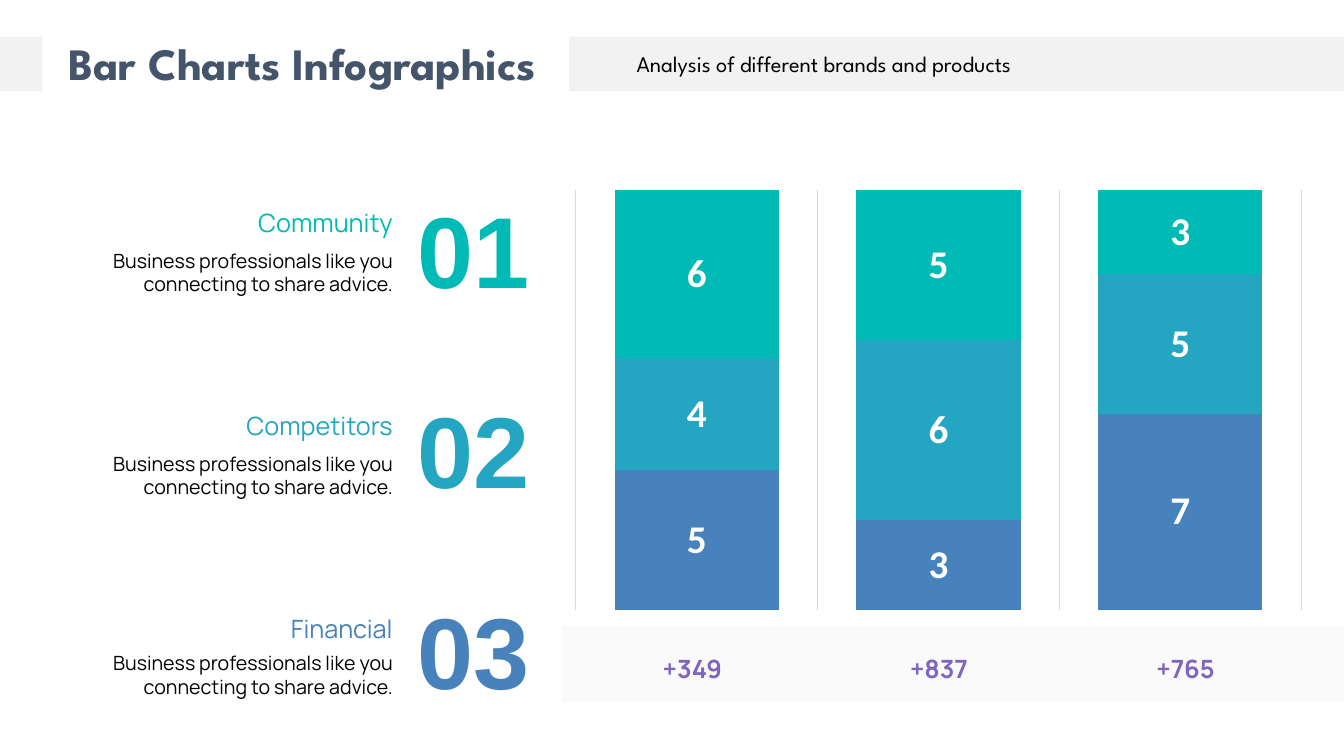
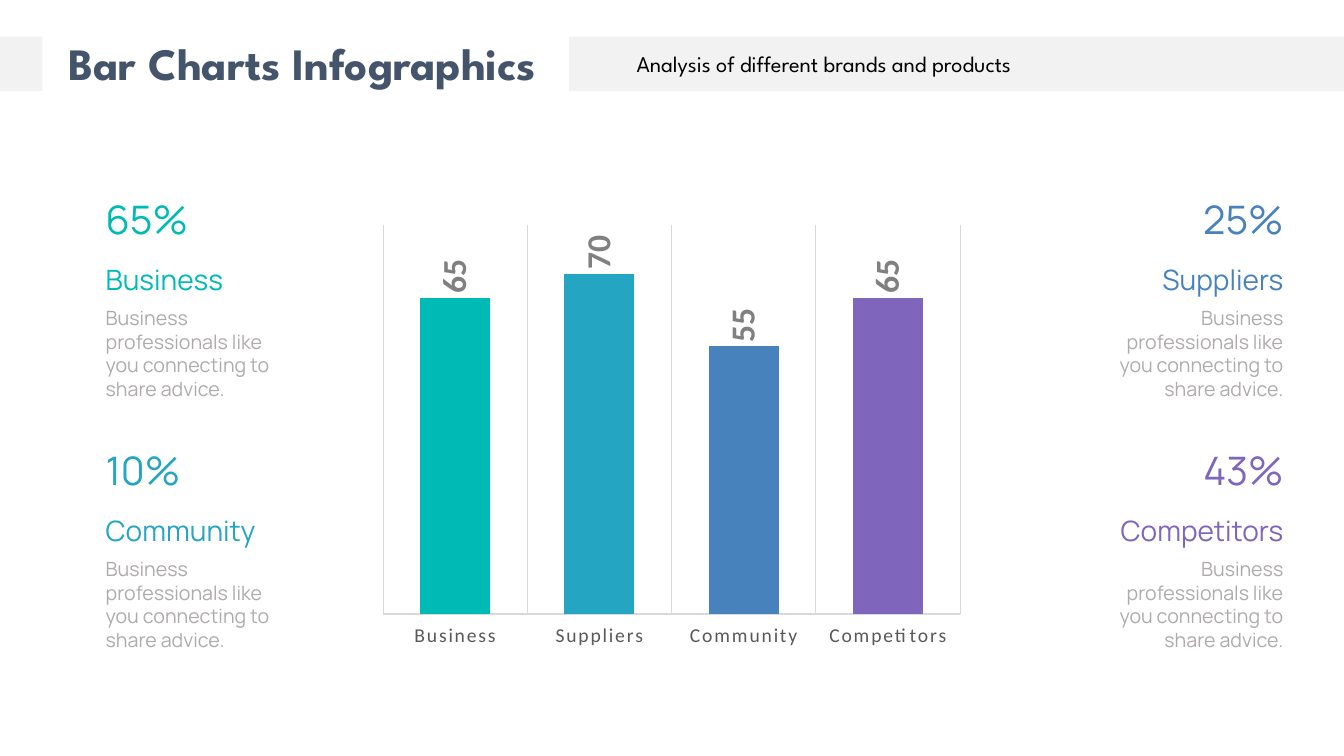
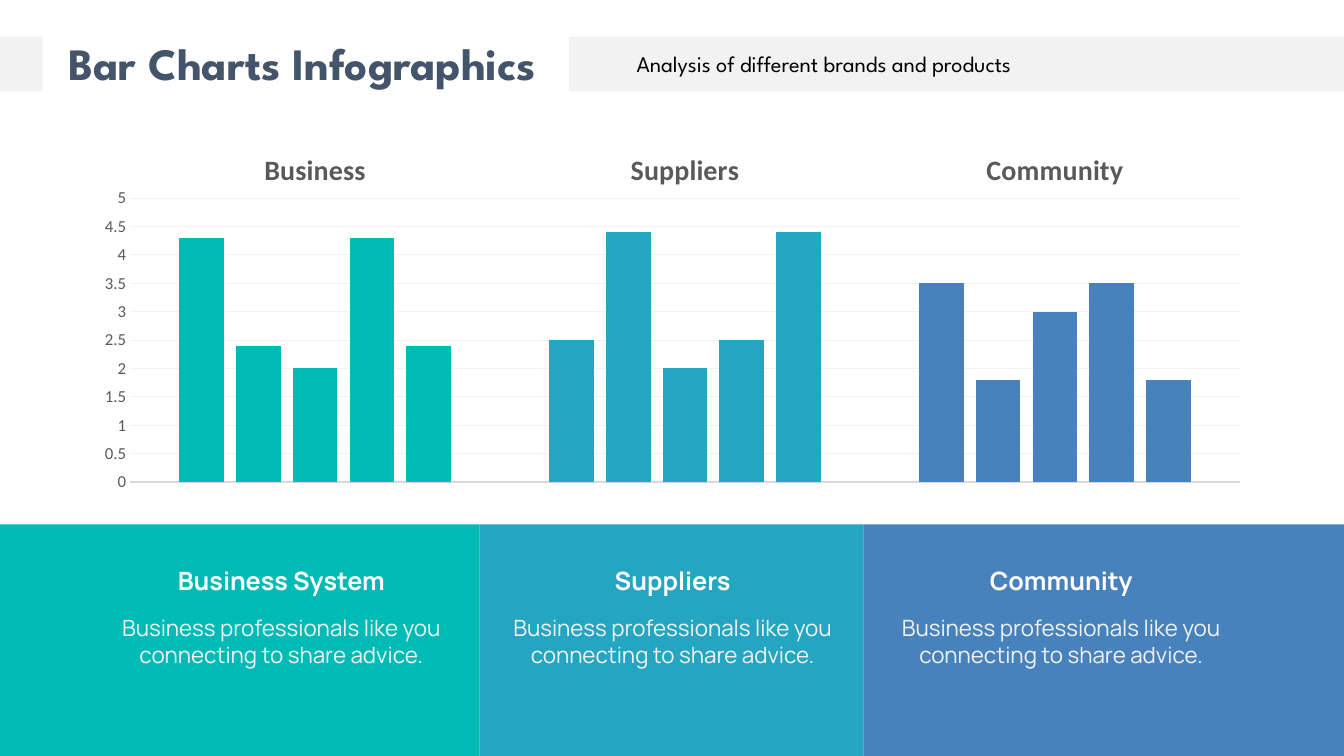
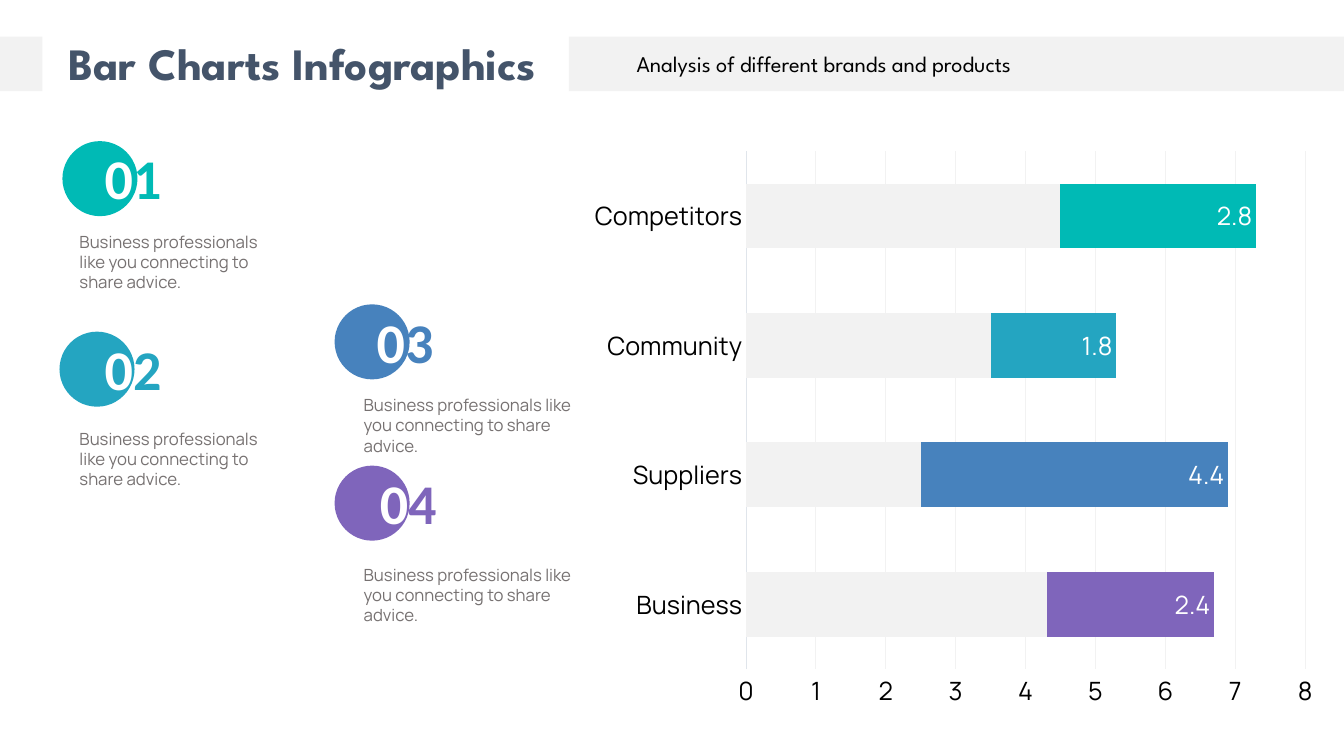
from lxml.etree import SubElement
from pptx import Presentation
from pptx.chart.data import CategoryChartData
from pptx.dml.color import RGBColor
from pptx.enum.chart import XL_CHART_TYPE, XL_LABEL_POSITION, XL_TICK_LABEL_POSITION, XL_TICK_MARK
from pptx.enum.shapes import MSO_SHAPE
from pptx.enum.text import MSO_AUTO_SIZE, PP_ALIGN
from pptx.oxml import parse_xml
from pptx.oxml.ns import nsdecls, qn
from pptx.util import Pt

COLORS = {
    "teal": "00BAB5", "cyan": "24A5C1", "blue": "4782BD", "purple": "7F65BB",
    "title": "44546A", "band": "F2F2F2", "totals": "D0CECE", "grid": "D9D9D9",
    "axis": "E0E5EB", "label": "595959", "value": "808080", "muted": "AFABAB",
    "note": "767171", "black": "000000", "white": "FFFFFF",
}
STYLES = {
    "title": {"name": "League Spartan", "size": Pt(32), "bold": True},
    "subtitle": {"name": "League Spartan", "size": Pt(16)},
    "total": {"name": "Manrope", "size": Pt(18), "bold": True},
    "heading": {"name": "Manrope", "size": Pt(18)},
    "large heading": {"name": "Manrope", "size": Pt(20)},
    "percent": {"name": "Manrope", "size": Pt(28)},
    "body": {"name": "Manrope", "size": Pt(14)},
    "panel body": {"name": "Manrope", "size": Pt(16)},
    "small body": {"name": "Manrope", "size": Pt(12)},
    "huge number": {"name": "Arial", "size": Pt(72), "bold": True},
    "badge number": {"name": "Calibri", "size": Pt(40), "bold": True},
    "chart": {"name": "Calibri", "size": Pt(10)},
    "chart large": {"name": "Calibri", "size": Pt(28), "bold": True},
    "chart value": {"name": "Calibri", "size": Pt(24), "bold": True},
    "chart category": {"name": "Calibri", "size": Pt(14)},
    "chart group": {"name": "Calibri", "size": Pt(20), "bold": True},
    "chart scale": {"name": "Calibri", "size": Pt(12)},
}
ALIGNMENTS = {"left": PP_ALIGN.LEFT, "center": PP_ALIGN.CENTER, "right": PP_ALIGN.RIGHT}

TITLE = "Bar Charts Infographics"
SUBTITLE = "Analysis of different brands and products"
ADVICE = "Business professionals like you connecting to share advice."

NUMBERED_TOPICS = [
    ("01", "Community", "teal", 174.2),
    ("02", "Competitors", "cyan", 319),
    ("03", "Financial", "blue", 461.5),
]
TOTALS = ["+349", "+837", "+765"]
PERCENT_TOPICS = [
    ("left", 0, "65%", "Business", "teal"),
    ("left", 1, "10%", "Community", "cyan"),
    ("right", 0, "25%", "Suppliers", "blue"),
    ("right", 1, "43%", "Competitors", "purple"),
]
PANELS = [
    ("Business System", "teal", 0, 342.7, 201),
    ("Suppliers", "cyan", 342.7, 274, 480.5),
    ("Community", "blue", 616.7, 343.3, 758),
]
BADGES = [
    ("1", "teal", (44.6, 100.8), 67.7, (49.7, 162), 151),
    ("2", "cyan", (42.5, 236.9), 67.7, (49.7, 302.4), 151),
    ("3", "blue", (239, 217.4), 262, (252.7, 278.6), 166.3),
    ("4", "purple", (239, 332.6), 264.2, (252.7, 399.6), 166.3),
]

GROUP_COLORS = ["teal", "cyan", "blue"]
STACKED_COLUMNS = {
    "type": XL_CHART_TYPE.COLUMN_STACKED_100,
    "box": (401, 129.6, 539.3, 312.5), "plot": (411.4, 135.7, 518, 300),
    "categories": ["1", "2", "3"], "gap": 47, "overlap": 100,
    "series": [([5, 3, 7], "blue"), ([4, 6, 5], "cyan"), ([6, 5, 3], "teal")],
    "labels": {"series": [0, 1, 2], "style": "chart large", "color": "white"},
    "category axis": {"grid": "grid"}, "value axis": {},
}
SINGLE_COLUMNS = {
    "type": XL_CHART_TYPE.COLUMN_CLUSTERED,
    "box": (265, 154.8, 429.8, 315.4), "plot": (273.6, 160.7, 412.2, 278),
    "categories": ["Business", "Suppliers", "Community", "Competitors"],
    "gap": 106, "overlap": 87,
    "series": [([65, 70, 55, 65], ["teal", "cyan", "blue", "purple"])],
    "labels": {"series": [0], "style": "chart value", "color": "value",
               "position": XL_LABEL_POSITION.OUTSIDE_END, "rotation": -90},
    "category axis": {"style": "chart category", "color": "label", "line": "grid",
                      "grid": "grid", "position": XL_TICK_LABEL_POSITION.LOW, "spacing": 1.2},
    "value axis": {"maximum": 80},
}
GROUPED_COLUMNS = {
    "type": XL_CHART_TYPE.COLUMN_CLUSTERED,
    "box": (56.9, 105.1, 846, 251.3), "plot": (92.9, 141.6, 792.8, 202.8),
    "categories": ["Business", "Suppliers", "Community"], "gap": 219, "overlap": -27,
    "series": [(values, GROUP_COLORS) for values in (
        [4.3, 2.5, 3.5], [2.4, 4.4, 1.8], [2, 2, 3], [4.3, 2.5, 3.5], [2.4, 4.4, 1.8])],
    "category axis": {"style": "chart group", "color": "label", "line": "grid",
                      "position": XL_TICK_LABEL_POSITION.HIGH},
    "value axis": {"style": "chart scale", "color": "label", "grid": "band",
                   "maximum": 5, "step": 0.5},
}
STACKED_BARS = {
    "type": XL_CHART_TYPE.BAR_STACKED,
    "box": (414.7, 99.4, 533.5, 414), "plot": (532.9, 108, 399.3, 370),
    "categories": ["Business", "Suppliers", "Community", "Competitors"],
    "gap": 100, "overlap": 100,
    "series": [([4.3, 2.5, 3.5, 4.5], "band"),
               ([2.4, 4.4, 1.8, 2.8], ["purple", "blue", "cyan", "teal"])],
    "labels": {"series": [1], "style": "heading", "color": "white",
               "position": XL_LABEL_POSITION.INSIDE_END},
    "category axis": {"style": "heading", "color": "black", "line": "axis"},
    "value axis": {"style": "heading", "color": "black", "grid": "band",
                   "maximum": 8, "step": 1},
}


def color_of(name):
    return RGBColor.from_string(COLORS[name])


def format_font(font, style, color):
    for attribute, value in STYLES[style].items():
        setattr(font, attribute, value)
    font.color.rgb = color_of(color)


def paint(fill, color):
    fill.solid()
    fill.fore_color.rgb = color_of(color)


def add_box(slide, bounds, color, kind=MSO_SHAPE.RECTANGLE, opacity=None):
    shape = slide.shapes.add_shape(kind, *map(Pt, bounds))
    shape.shadow.inherit = False
    shape.line.fill.background()
    paint(shape.fill, color)
    if opacity is not None:
        color_element = shape.fill._xPr.find(qn("a:solidFill"))[0]
        SubElement(color_element, qn("a:alpha")).set("val", str(opacity * 1000))


def add_text(slide, bounds, runs, style, align="left"):
    shape = slide.shapes.add_textbox(*map(Pt, bounds))
    frame = shape.text_frame
    frame.word_wrap = True
    frame.auto_size = MSO_AUTO_SIZE.SHAPE_TO_FIT_TEXT
    paragraph = frame.paragraphs[0]
    paragraph.alignment = ALIGNMENTS[align]
    for text, color in runs:
        run = paragraph.add_run()
        run.text = text
        format_font(run.font, style, color)


def set_plot_area(chart, box, plot):
    left, top, width, height = box
    fractions = {
        "x": (plot[0] - left) / width, "y": (plot[1] - top) / height,
        "w": plot[2] / width, "h": plot[3] / height,
    }
    plot_area = chart._chartSpace.chart.plotArea
    for layout in plot_area.findall(qn("c:layout")):
        plot_area.remove(layout)
    modes = '<c:layoutTarget val="inner"/><c:xMode val="edge"/><c:yMode val="edge"/>'
    sizes = "".join(f'<c:{key} val="{value:.4f}"/>' for key, value in fractions.items())
    plot_area.insert(0, parse_xml(
        f'<c:layout {nsdecls("c")}><c:manualLayout>{modes}{sizes}</c:manualLayout></c:layout>'))


def format_axis(axis, settings):
    axis.major_tick_mark = axis.minor_tick_mark = XL_TICK_MARK.NONE
    axis.has_major_gridlines = "grid" in settings
    if "grid" in settings:
        line = axis.major_gridlines.format.line
        line.width = Pt(0.75)
        paint(line.fill, settings["grid"])
    if "maximum" in settings:
        axis.minimum_scale, axis.maximum_scale = 0, settings["maximum"]
    if "step" in settings:
        axis.major_unit = settings["step"]
    if "style" not in settings:
        axis.visible = False
        return
    labels = axis.tick_labels
    format_font(labels.font, settings["style"], settings["color"])
    if "spacing" in settings:
        labels.font._element.set("spc", str(round(settings["spacing"] * 100)))
    if "position" in settings:
        axis.tick_label_position = settings["position"]
    if "line" in settings:
        axis.format.line.width = Pt(0.75)
        paint(axis.format.line.fill, settings["line"])
    else:
        axis.format.line.fill.background()


def format_labels(series, settings):
    labels = series.data_labels
    labels.show_value = True
    format_font(labels.font, settings["style"], settings["color"])
    if "position" in settings:
        labels.position = settings["position"]
    if "rotation" in settings:
        body = labels._element.find(qn("c:txPr")).find(qn("a:bodyPr"))
        body.set("rot", str(settings["rotation"] * 60000))
        body.set("vert", "horz")


def add_bar_chart(slide, settings):
    data = CategoryChartData()
    data.categories = settings["categories"]
    for number, (values, _) in enumerate(settings["series"], 1):
        data.add_series(f"Series {number}", values)
    chart = slide.shapes.add_chart(settings["type"], *map(Pt, settings["box"]), data).chart
    chart.has_legend = chart.has_title = False
    format_font(chart.font, "chart", "black")
    set_plot_area(chart, settings["box"], settings["plot"])
    format_axis(chart.category_axis, settings["category axis"])
    format_axis(chart.value_axis, settings["value axis"])
    plot = chart.plots[0]
    plot.gap_width, plot.overlap = settings["gap"], settings["overlap"]
    plot.vary_by_categories = False
    for series, (_, colors) in zip(plot.series, settings["series"]):
        series.invert_if_negative = False
        if isinstance(colors, str):
            paint(series.format.fill, colors)
            continue
        paint(series.format.fill, colors[0])
        for index, color in enumerate(colors):
            paint(series.points[index].format.fill, color)
    for index in settings.get("labels", {}).get("series", []):
        format_labels(plot.series[index], settings["labels"])


def add_header(slide):
    add_box(slide, (406.3, 26.2, 553.7, 38.9), "band")
    add_box(slide, (0, 26.2, 30.4, 38.9), "band")
    add_text(slide, (17.3, 22.3, 397.4, 46), [(TITLE, "title")], "title", "center")
    add_text(slide, (414.7, 32.4, 347.8, 26.6), [(SUBTITLE, "black")], "subtitle", "center")


def build_stacked_columns(slide):
    add_bar_chart(slide, STACKED_COLUMNS)
    add_box(slide, (401, 447.4, 559, 54.4), "totals", opacity=10)
    for index, total in enumerate(TOTALS):
        add_text(slide, (457.9 + index * 176.1, 463, 73.4, 28.8),
                 [(total, "purple")], "total", "center")
    for index, (number, heading, color, body_top) in enumerate(NUMBERED_TOPICS):
        add_text(slide, (30.2, body_top, 257.8, 41), [(ADVICE, "black")], "body", "right")
        add_text(slide, (83.5, 144.9 + index * 145, 204, 28.8),
                 [(heading, color)], "heading", "right")
        add_text(slide, (290.9, 130.3 + index * 143.3, 110.9, 94.3),
                 [(number, color)], "huge number")


def build_single_columns(slide):
    add_bar_chart(slide, SINGLE_COLUMNS)
    for side, row, percent, heading, color in PERCENT_TOPICS:
        left = 68.4 if side == "left" else 776.2
        top = 136.1 + row * 179.1
        for offset, height, text, style, text_color in (
                (0, 41, percent, "percent", color),
                (48.2, 31.7, heading, "large heading", color),
                (79.2, 74.9, ADVICE, "body", "muted")):
            add_text(slide, (left, top + offset, 147.6, height),
                     [(text, text_color)], style, side)


def build_grouped_columns(slide):
    add_bar_chart(slide, GROUPED_COLUMNS)
    for heading, color, left, width, center in PANELS:
        add_box(slide, (left, 374.6, width, 165.4), color)
        add_text(slide, (center - 90, 400.3, 180, 28.8), [(heading, "white")], "total", "center")
        add_text(slide, (center - 124.5, 434.9, 249, 65.5),
                 [(ADVICE, "band")], "panel body", "center")


def build_stacked_bars(slide):
    add_bar_chart(slide, STACKED_BARS)
    for digit, color, (left, top), number_left, body_corner, body_width in BADGES:
        add_box(slide, (left, top, 53.6, 53.6), color, MSO_SHAPE.OVAL)
        add_text(slide, (*body_corner, body_width, 51), [(ADVICE, "note")], "small body")
        add_text(slide, (number_left, top - 1.5, 72.7, 55.4),
                 [("0", "white"), (digit, color)], "badge number")


def main():
    presentation = Presentation()
    presentation.slide_width, presentation.slide_height = Pt(960), Pt(540)
    for build in (build_stacked_columns, build_single_columns,
                  build_grouped_columns, build_stacked_bars):
        slide = presentation.slides.add_slide(presentation.slide_layouts[6])
        add_header(slide)
        build(slide)
    presentation.save("out.pptx")


if __name__ == "__main__":
    main()
